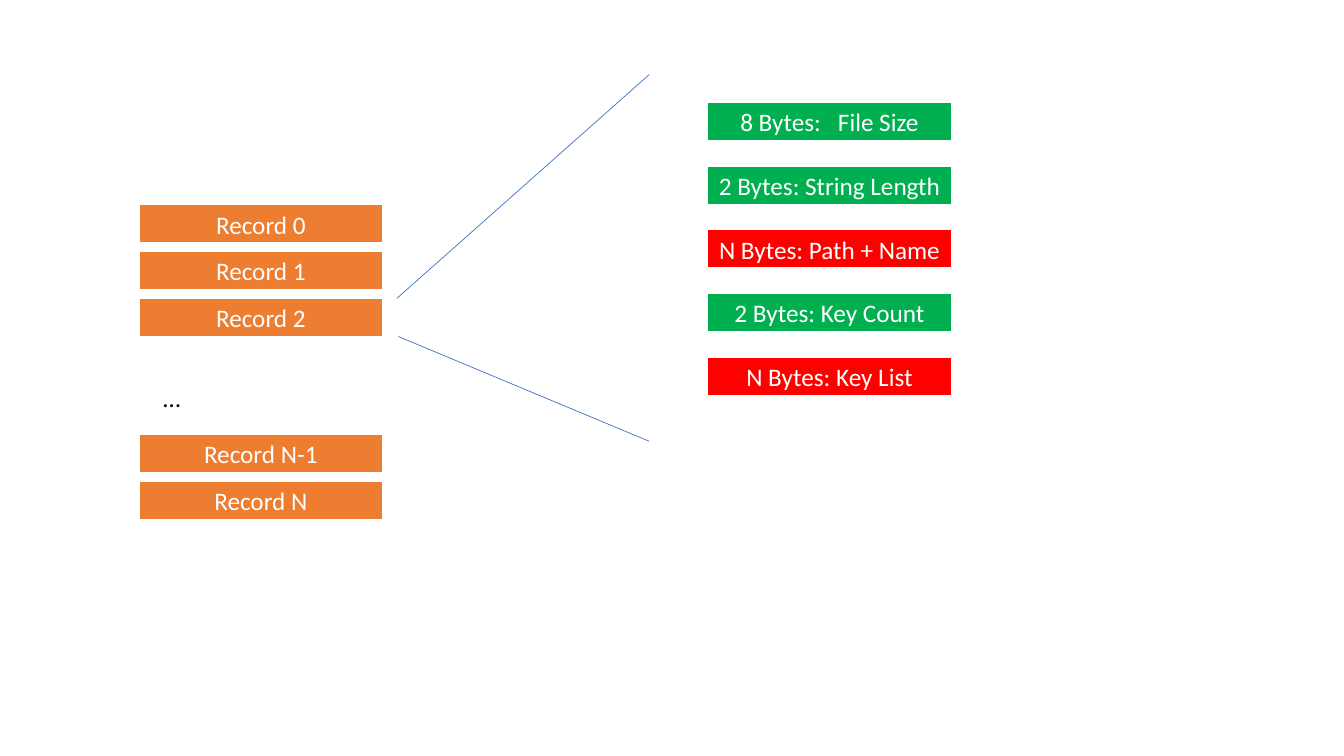
from pptx import Presentation
from pptx.dml.color import RGBColor
from pptx.enum.shapes import MSO_CONNECTOR as Link, MSO_SHAPE as Shape
from pptx.enum.text import MSO_ANCHOR as Anchor, MSO_AUTO_SIZE as Fit, PP_ALIGN as Align
from pptx.oxml.ns import qn
from pptx.util import Cm, Pt
from lxml.etree import SubElement

# Content
ORANGE, GREEN, RED, BLUE = "ED7D31", "00B050", "FF0000", "4472C4"
WHITE, BLACK = "FFFFFF", "000000"
FIRST = [(name, ORANGE) for name in ("Record 0", "Record 1", "Record 2")]
LAST = [(name, ORANGE) for name in ("Record N-1", "Record N")]
FIELDS = [
    ("8 Bytes:   File Size", GREEN),
    ("2 Bytes: String Length", GREEN),
    ("N Bytes: Path + Name", RED),
    ("2 Bytes: Key Count", GREEN),
    ("N Bytes: Key List", RED),
]

# Layout in cm: left, top, row step, rows
WIDE, HIGH = 6.15, 0.97
STACKS = [
    (3.5, 5.16, 1.18, FIRST),
    (3.5, 10.94, 1.18, LAST),
    (17.83, 2.57, 1.61, FIELDS),
]
ZOOM = [(10, 7.52, 16.36, 1.88), (10.04, 8.48, 16.36, 11.12)]
DOTS = (3.86, 9.5, 3.12, 1.02)
FONT = {"name": "Calibri", "size": Pt(18)}


def paint(part, tint):
    part.rgb = RGBColor.from_string(tint)


def write(shape, text, tint, align, **frame):
    for key, val in {"word_wrap": True, **frame}.items():
        setattr(shape.text_frame, key, val)
    para = shape.text_frame.paragraphs[0]
    para.alignment = align
    run = para.add_run()
    run.text = text
    for key, val in FONT.items():
        setattr(run.font, key, val)
    paint(run.font.color, tint)


def bar(left, top, text, tint):
    box = slide.shapes.add_shape(Shape.RECTANGLE, *map(Cm, (left, top, WIDE, HIGH)))
    box.shadow.inherit = False
    box.fill.solid()
    paint(box.fill.fore_color, tint)
    paint(box.line.color, WHITE)
    box.line.width = Pt(1)
    write(box, text, WHITE, Align.CENTER, vertical_anchor=Anchor.MIDDLE)


deck = Presentation()
deck.slide_width, deck.slide_height = Cm(33.87), Cm(19.05)
slide = deck.slides.add_slide(deck.slide_layouts[6])

# Record list and the fields of one record
for left, top, step, rows in STACKS:
    for row, (text, tint) in enumerate(rows):
        bar(left, top + row * step, text, tint)

# Skipped records
dots = slide.shapes.add_textbox(*map(Cm, DOTS))
write(dots, "…", BLACK, Align.LEFT, auto_size=Fit.SHAPE_TO_FIT_TEXT)

# Zoom lines from Record 2 to its fields
for ends in ZOOM:
    ray = slide.shapes.add_connector(Link.STRAIGHT, *map(Cm, ends))
    paint(ray.line.color, BLUE)
    ray.line.width = Pt(0.5)
    SubElement(ray._element.spPr, qn("a:effectLst"))

deck.save("out.pptx")
